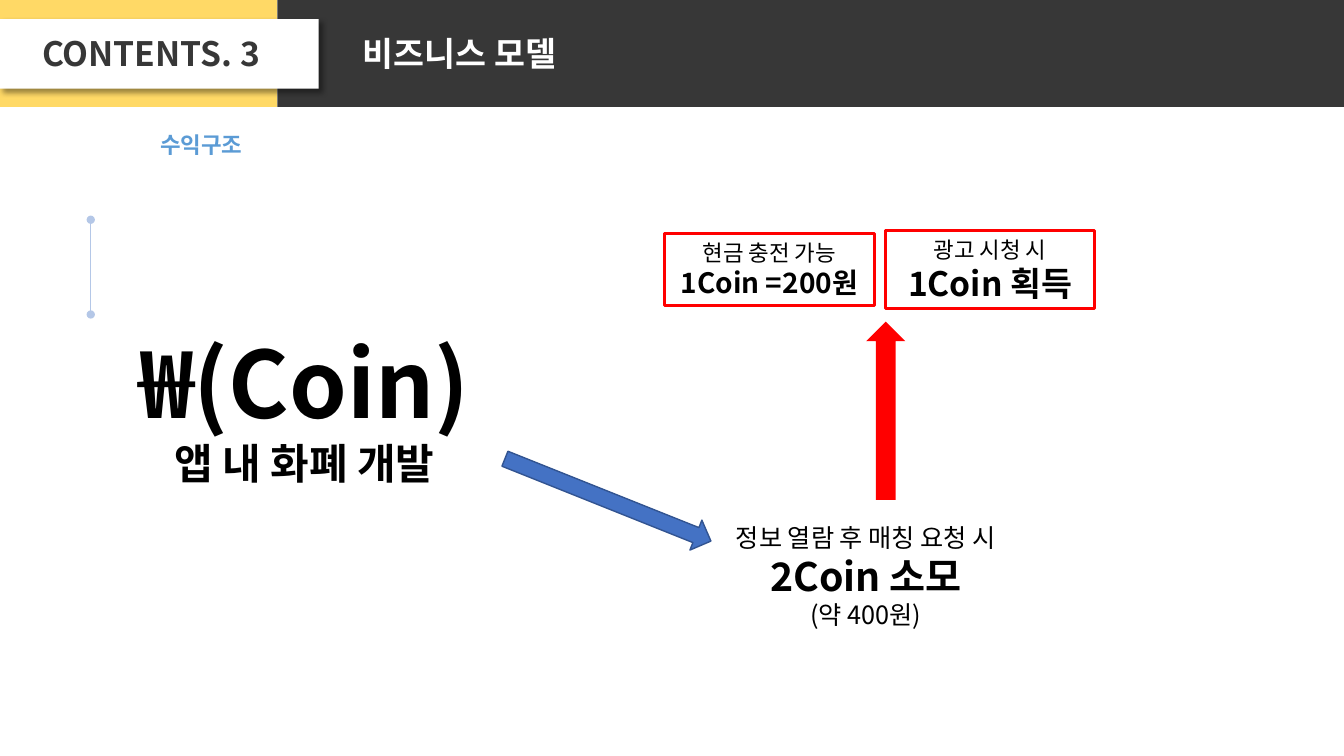
from pptx import Presentation
from pptx.util import Inches, Pt
from pptx.dml.color import RGBColor
from pptx.enum.shapes import MSO_CONNECTOR, MSO_SHAPE
from pptx.enum.text import MSO_ANCHOR, MSO_AUTO_SIZE, PP_ALIGN
from pptx.oxml import parse_xml
from pptx.oxml.ns import nsdecls
from lxml.etree import SubElement

FONT = "Noto Sans CJK KR"
DARK, WHITE, BLACK, RED = "373737", "FFFFFF", "000000", "FF0000"
LEFT, MID = PP_ALIGN.LEFT, PP_ALIGN.CENTER
RECT, ARROW = MSO_SHAPE.RECTANGLE, MSO_SHAPE.RIGHT_ARROW

BANDS = [
    ((0, 0, 2.75, 1.06), "FFD966"),
    ((2.75, 0, 10.58, 1.06), DARK),
]
TAB = (0, 0.19, 3.16, 0.69)
RULE = (0.9, 2.18, 0.9, 3.12)
ARROWS = [
    ((4.93, 4.8, 2.2, 0.32), 21.8, "4472C4", "325491"),
    ((7.9, 3.88, 1.77, 0.39), 270, RED, None),
]
BOXES = [
    ((8.78, 2.29, 2.08, 0.77),
     [("광고 시청 시", 16, False, MID), ("1Coin 획득", 24, True, MID)]),
    ((6.59, 2.32, 2.08, 0.71),
     [("현금 충전 가능", 16, False, MID), ("1Coin =200원", 20, True, MID)]),
]
TEXTS = [
    ((0.32, 0.28, 2.5, 0.5), DARK, True, 1, [("CONTENTS. 3", 24, True, LEFT)]),
    ((3.5, 0.28, 8.11, 0.5), WHITE, True, 1, [("비즈니스 모델", 24, True, LEFT)]),
    ((1.49, 1.12, 4.92, 0.45), "5B9BD5", True, 1.5, [("수익구조", 16, True, LEFT)]),
    ((1.22, 3.19, 3.6, 1.72), BLACK, False, 1,
     [("₩(Coin)", 66, True, MID), ("앱 내 화폐 개발", 30, True, MID)]),
    ((7.2, 5.13, 3.17, 1.21), BLACK, False, 1,
     [("정보 열람 후 매칭 요청 시", 18, False, LEFT),
      ("2Coin 소모", 28, True, MID), ("(약 400원)", 18, False, MID)]),
]


def paint(part, color):
    part.solid()
    part.fore_color.rgb = RGBColor.from_string(color)


def place(at):
    return [Inches(v) for v in at]


def draw(kind, at, fill=None, line=None, width=1):
    shape = slide.shapes.add_shape(kind, *place(at))
    shape.shadow.inherit = False
    if fill:
        paint(shape.fill, fill)
    else:
        shape.fill.background()
    if line:
        paint(shape.line.fill, line)
        shape.line.width = Pt(width)
    else:
        shape.line.fill.background()
    return shape


def write(shape, lines, color, wrap=True, gap=1):
    frame = shape.text_frame
    frame.word_wrap = wrap
    frame.auto_size = MSO_AUTO_SIZE.SHAPE_TO_FIT_TEXT
    frame.text = "\n".join(line[0] for line in lines)
    for para, (_, size, bold, align) in zip(frame.paragraphs, lines):
        para.alignment = align
        para.line_spacing = gap
        for run in para.runs:
            font = run.font
            font.size, font.bold, font.name = Pt(size), bold, FONT
            paint(font.fill, color)
            latin = run._r.rPr.find("{*}latin")
            east = SubElement(run._r.rPr, latin.tag.replace("latin", "ea"))
            east.set("typeface", FONT)


deck = Presentation()
deck.slide_width, deck.slide_height = Inches(13.33), Inches(7.5)
slide = deck.slides.add_slide(deck.slide_layouts[6])

for at, color in BANDS:
    draw(RECT, at, color)

tab = draw(RECT, TAB, WHITE)
effect = tab._element.spPr.find("{*}effectLst")
effect.append(parse_xml(
    f'<a:outerShdw {nsdecls("a")} blurRad="{Pt(4)}" dist="{Pt(3)}" dir="2700000" '
    'algn="tl" rotWithShape="0"><a:srgbClr val="000000"><a:alpha val="40000"/>'
    '</a:srgbClr></a:outerShdw>'))

rule = slide.shapes.add_connector(MSO_CONNECTOR.STRAIGHT, *place(RULE))
paint(rule.line.fill, "B4C7E7")
rule.line.width = Pt(0.5)
for end in ("headEnd", "tailEnd"):
    rule.line._ln.append(parse_xml(f'<a:{end} {nsdecls("a")} type="oval"/>'))
rule._element.spPr.append(parse_xml(f'<a:effectLst {nsdecls("a")}/>'))

for at, turn, fill, line in ARROWS:
    draw(ARROW, at, fill, line).rotation = turn

for at, lines in BOXES:
    box = draw(RECT, at, None, RED, 2.25)
    box.text_frame.vertical_anchor = MSO_ANCHOR.TOP
    write(box, lines, BLACK)

for at, color, wrap, gap, lines in TEXTS:
    write(slide.shapes.add_textbox(*place(at)), lines, color, wrap, gap)

deck.save("out.pptx")
